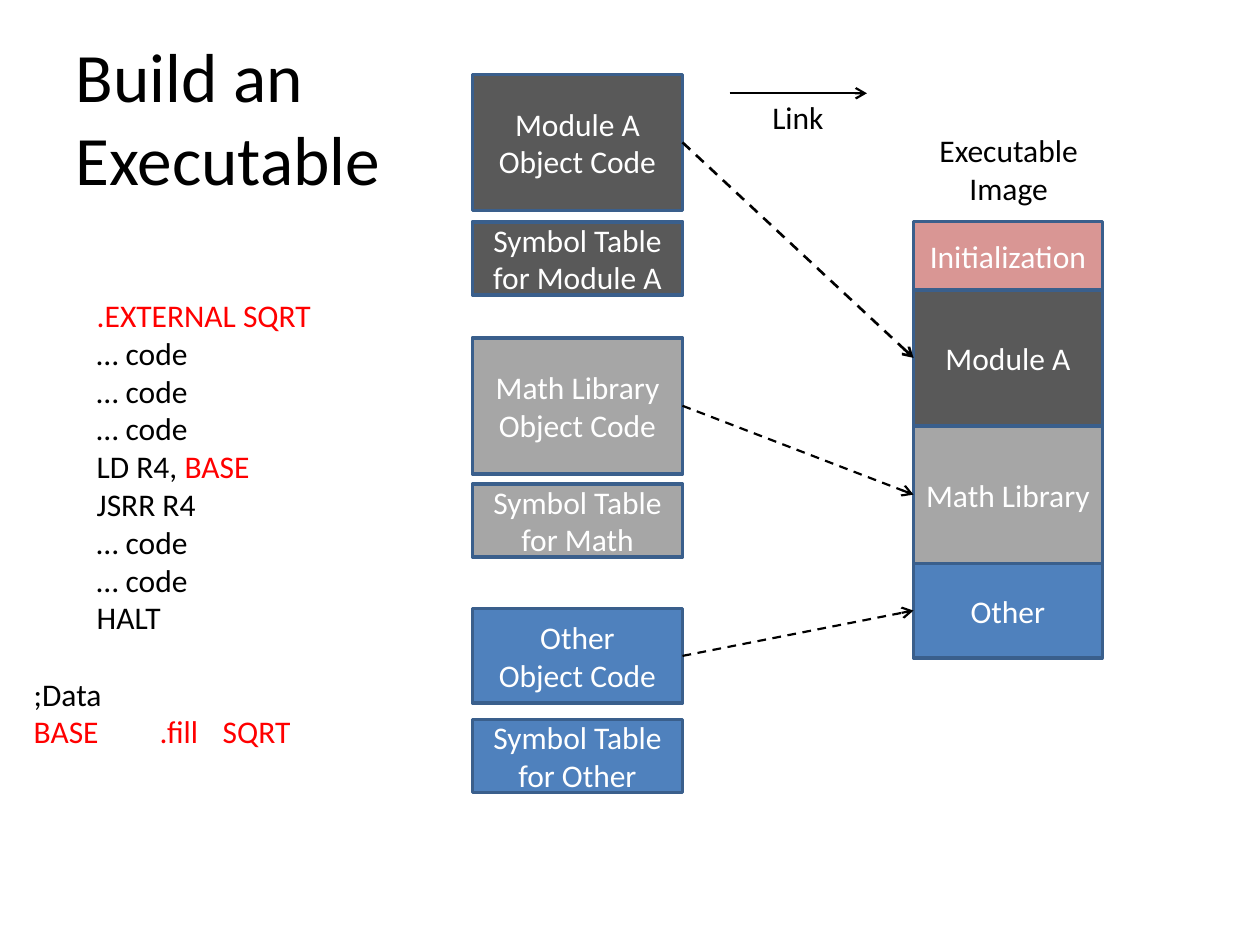
from dataclasses import dataclass

from lxml import etree
from pptx import Presentation
from pptx.dml.color import RGBColor
from pptx.enum import dml, shapes, text
from pptx.oxml.ns import qn
from pptx.util import Pt


@dataclass(frozen=True)
class Theme:
    font: str = "Calibri"
    title_size: float = 39.6
    body_size: float = 18
    ink: str = "000000"
    accent: str = "FF0000"
    light: str = "FFFFFF"
    border: str = "3A5F8C"
    init: str = "D99694"
    module: str = "595959"
    math: str = "A6A6A6"
    other: str = "4F81BD"


THEME = Theme()


@dataclass(frozen=True)
class ObjectFile:
    """An object file, its symbol table and its section in the image."""
    section: str
    table_label: str
    fill: str
    code_top: float
    code_height: float
    table_top: float
    section_height: float
    link_weight: float = 1.25


OBJECT_FILES = [
    ObjectFile("Module A", "for Module A", THEME.module, 42.5, 77.8, 126.7, 77.8, 1.5),
    ObjectFile("Math Library", "for Math", THEME.math, 193, 77.8, 276.5, 78.5),
    ObjectFile("Other", "for Other", THEME.other, 347.8, 54, 411.1, 54),
]
OBJECT_LEFT, OBJECT_WIDTH = 270, 120
IMAGE_LEFT, IMAGE_TOP, IMAGE_WIDTH = 522, 126.7, 108
INIT_HEIGHT = 38.9
LINE_HEIGHT = 22
RIGHT_SIDE, LEFT_SIDE = 3, 1

# Each line of the listing: (text, highlighted) pieces
CODE_LINE = [("\t… code", False)]
LISTING = [
    [("\t", False), (".EXTERNAL SQRT", True)],
    CODE_LINE, CODE_LINE, CODE_LINE,
    [("\tLD R4, ", False), ("BASE", True)],
    [("\tJSRR R4", False)],
    CODE_LINE, CODE_LINE,
    [("\tHALT", False)],
    [(";Data", False)],
    [("BASE\t.fill \tSQRT", True)],
]
DATA_LINE = 9


def style_font(font, color: str, size: float = THEME.body_size) -> None:
    font.name = THEME.font
    font.size = Pt(size)
    font.color.rgb = RGBColor.from_string(color)


def style_frame(frame, color: str, align, size: float = THEME.body_size) -> None:
    for paragraph in frame.paragraphs:
        paragraph.alignment = align
        for run in paragraph.runs:
            style_font(run.font, color, size)


def add_block(slide, left: float, top: float, width: float, height: float,
              label: str, fill: str):
    block = slide.shapes.add_shape(shapes.MSO_SHAPE.RECTANGLE,
                                   Pt(left), Pt(top), Pt(width), Pt(height))
    block.shadow.inherit = False
    block.fill.solid()
    block.fill.fore_color.rgb = RGBColor.from_string(fill)
    block.line.color.rgb = RGBColor.from_string(THEME.border)
    block.line.width = Pt(2)
    block.text_frame.text = label
    block.text_frame.vertical_anchor = text.MSO_ANCHOR.MIDDLE
    style_frame(block.text_frame, THEME.light, text.PP_ALIGN.CENTER)
    return block


def add_arrow(slide, start: tuple, end: tuple, weight: float = 1.25, dashed: bool = False):
    arrow = slide.shapes.add_connector(shapes.MSO_CONNECTOR.STRAIGHT,
                                       *map(Pt, start), *map(Pt, end))
    arrow.line.color.rgb = RGBColor.from_string(THEME.ink)
    arrow.line.width = Pt(weight)
    if dashed:
        arrow.line.dash_style = dml.MSO_LINE.DASH
    etree.SubElement(arrow.line._get_or_add_ln(), qn("a:tailEnd"), type="arrow")
    etree.SubElement(arrow._element.spPr, qn("a:effectLst"))
    return arrow


def add_text_area(slide, left: float, top: float, width: float, height: float, wrap: bool):
    area = slide.shapes.add_textbox(Pt(left), Pt(top), Pt(width), Pt(height))
    area.text_frame.word_wrap = wrap
    area.text_frame.auto_size = text.MSO_AUTO_SIZE.SHAPE_TO_FIT_TEXT
    return area.text_frame


def add_caption(slide, left: float, top: float, width: float, height: float,
                label: str, align) -> None:
    caption = add_text_area(slide, left, top, width, height, wrap=False)
    caption.text = label
    style_frame(caption, THEME.ink, align)


def add_title(slide) -> None:
    title = slide.shapes.title
    title.left, title.top, title.width, title.height = Pt(36), Pt(21.6), Pt(216), Pt(90)
    title.text_frame.text = "Build an Executable"
    title.text_frame.vertical_anchor = text.MSO_ANCHOR.MIDDLE
    style_frame(title.text_frame, THEME.ink, text.PP_ALIGN.LEFT, THEME.title_size)


def add_listing(slide) -> None:
    listing = add_text_area(slide, 12.2, 165.6, 238.3, 269.3, wrap=True)
    for number, pieces in enumerate(LISTING):
        line = listing.add_paragraph() if number else listing.paragraphs[0]
        if number == DATA_LINE:
            line.space_before = Pt(LINE_HEIGHT)
        for words, highlighted in pieces:
            run = line.add_run()
            run.text = words
            style_font(run.font, THEME.accent if highlighted else THEME.ink)


def main() -> None:
    deck = Presentation()
    deck.slide_width, deck.slide_height = Pt(720), Pt(540)
    slide = deck.slides.add_slide(deck.slide_layouts[5])
    add_title(slide)

    # Object files, and the executable image stacked from their code
    section_top = IMAGE_TOP + INIT_HEIGHT
    for part in OBJECT_FILES:
        code = add_block(slide, OBJECT_LEFT, part.code_top, OBJECT_WIDTH,
                         part.code_height, f"{part.section}\nObject Code", part.fill)
        add_block(slide, OBJECT_LEFT, part.table_top, OBJECT_WIDTH, 41.8,
                  f"Symbol Table\n{part.table_label}", part.fill)
        section = add_block(slide, IMAGE_LEFT, section_top, IMAGE_WIDTH,
                            part.section_height, part.section, part.fill)
        link = add_arrow(
            slide,
            (OBJECT_LEFT + OBJECT_WIDTH, part.code_top + part.code_height / 2),
            (IMAGE_LEFT, section_top + part.section_height / 2),
            part.link_weight, dashed=True)
        link.begin_connect(code, RIGHT_SIDE)
        link.end_connect(section, LEFT_SIDE)
        section_top += part.section_height
    add_block(slide, IMAGE_LEFT, IMAGE_TOP, IMAGE_WIDTH, INIT_HEIGHT,
              "Initialization", THEME.init)

    # Captions and the link direction
    add_caption(slide, 529.2, 71.3, 94.3, 51.1, "Executable\nImage", text.PP_ALIGN.CENTER)
    add_caption(slide, 434.2, 52.6, 43.9, 28.8, "Link", text.PP_ALIGN.LEFT)
    add_arrow(slide, (416.9, 53.3), (495.4, 53.3))

    # Assembly listing
    add_listing(slide)
    deck.save("out.pptx")


if __name__ == "__main__":
    main()
